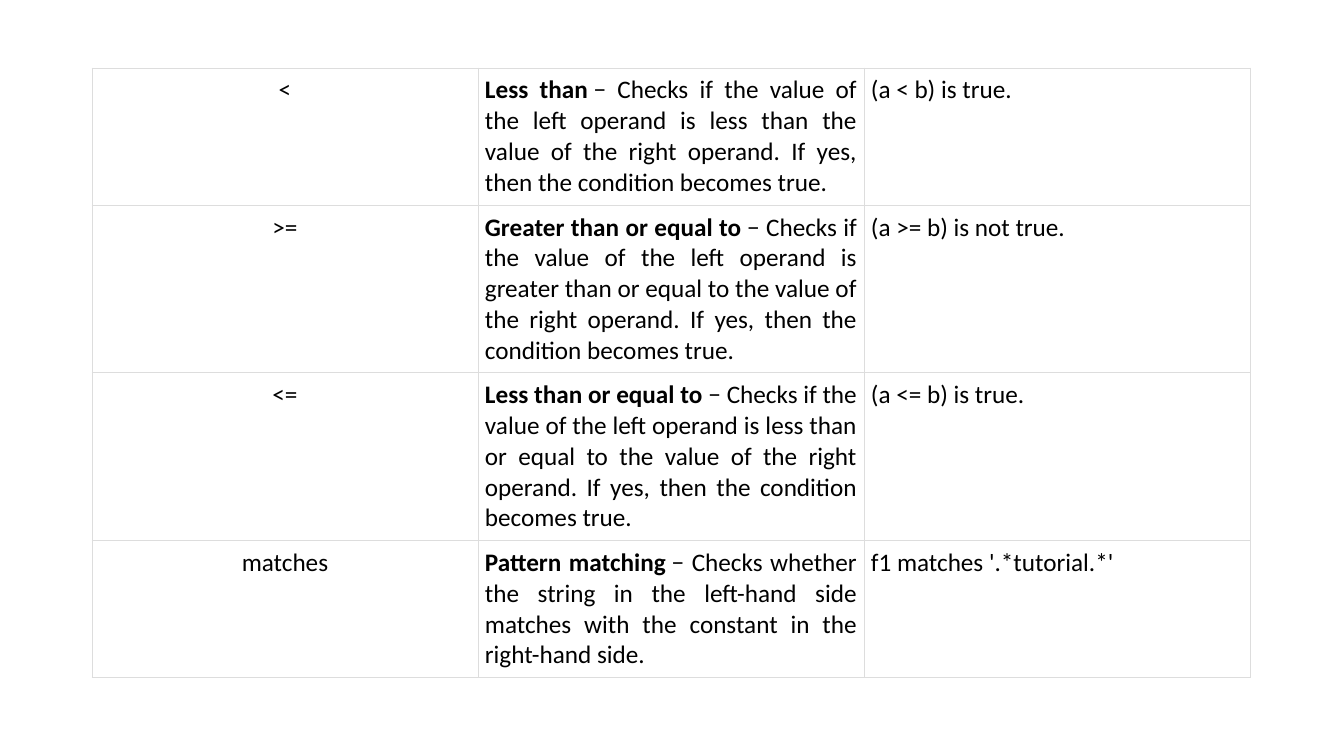
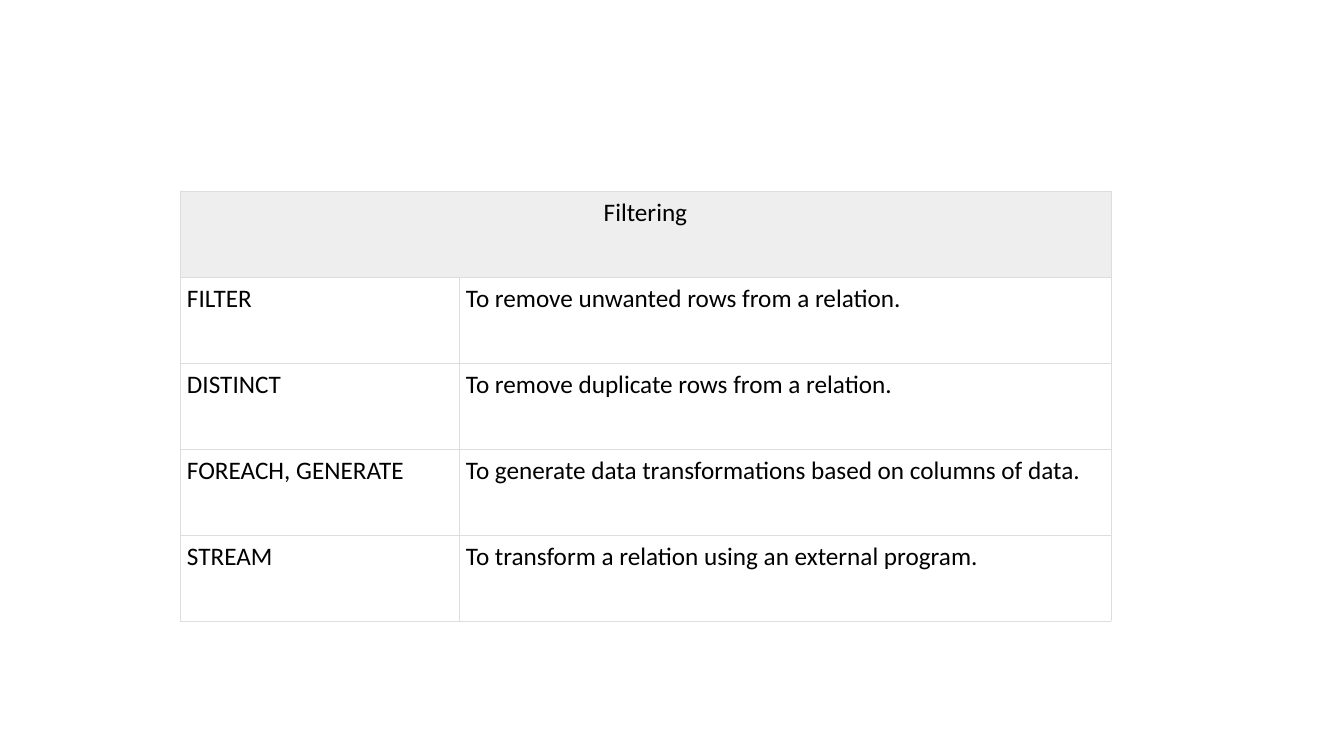
"""Build two slides of operator tables."""
from pptx import Presentation
from pptx.dml.color import RGBColor
from pptx.enum.text import PP_ALIGN
from pptx.oxml.ns import qn
from pptx.util import Emu, Pt
from lxml.etree import SubElement

EMU_PER_PIXEL = 914400 / 100.8
TEXT_COLOUR = RGBColor(0x00, 0x00, 0x00)
RULE_COLOUR = RGBColor(0xDD, 0xDD, 0xDD)
HEADER_FILL = RGBColor(0xEE, 0xEE, 0xEE)
BODY_FILL = RGBColor(0xFF, 0xFF, 0xFF)
RULE_WIDTH = Pt(0.6)
FONT_FORMAT = {"name": "Calibri", "size": Pt(18)}
PLAIN_TABLE = {"first_row": False, "horz_banding": False}

OPERATORS = [
    ("<", "Less than",
     "Checks if the value of the left operand is less than the value of the "
     "right operand. If yes, then the condition becomes true.",
     "(a < b) is true."),
    (">=", "Greater than or equal to",
     "Checks if the value of the left operand is greater than or equal to the "
     "value of the right operand. If yes, then the condition becomes true.",
     "(a >= b) is not true."),
    ("<=", "Less than or equal to",
     "Checks if the value of the left operand is less than or equal to the "
     "value of the right operand. If yes, then the condition becomes true.",
     "(a <= b) is true."),
    ("matches", "Pattern matching",
     "Checks whether the string in the left-hand side matches with the "
     "constant in the right-hand side.",
     "f1 matches '.*tutorial.*'"),
]
FILTERING = [
    ("FILTER", "To remove unwanted rows from a relation."),
    ("DISTINCT", "To remove duplicate rows from a relation."),
    ("FOREACH, GENERATE",
     "To generate data transformations based on columns of data."),
    ("STREAM", "To transform a relation using an external program."),
]


def px(pixels):
    """Turn pixels into EMU."""
    return Emu(round(pixels * EMU_PER_PIXEL))


def apply_format(target, values):
    """Set each named attribute on the target."""
    for name, value in values.items():
        setattr(target, name, value)


def rule_cell(cell):
    """Draw a thin rule on the four sides of a cell."""
    properties = cell._tc.get_or_add_tcPr()
    for side in ("a:lnL", "a:lnR", "a:lnT", "a:lnB"):
        rule = SubElement(properties, qn(side), w=str(RULE_WIDTH))
        fill = SubElement(rule, qn("a:solidFill"))
        SubElement(fill, qn("a:srgbClr"), val=str(RULE_COLOUR))


def style_cell(cell, fill_colour):
    """Give a cell its margins, rules and fill."""
    sides = ("left", "right", "top", "bottom")
    apply_format(cell, {f"margin_{side}": px(7) for side in sides})
    rule_cell(cell)
    cell.fill.solid()
    cell.fill.fore_color.rgb = fill_colour


def write_cell(cell, text, align=PP_ALIGN.LEFT, term=""):
    """Write text into a cell, after an optional bold term."""
    paragraph = cell.text_frame.paragraphs[0]
    paragraph.alignment = align
    for words, bold in ((term, True), (text, False)):
        if words:
            run = paragraph.add_run()
            run.text = words
            apply_format(run.font, {**FONT_FORMAT, "bold": bold})
            run.font.color.rgb = TEXT_COLOUR


def add_ruled_table(deck, left, top, widths, heights):
    """Add a slide with a ruled, empty table and return the table."""
    slide = deck.slides.add_slide(deck.slide_layouts[6])
    table = slide.shapes.add_table(
        len(heights), len(widths), px(left), px(top),
        px(sum(widths)), px(sum(heights))).table
    apply_format(table, PLAIN_TABLE)
    for column, width in zip(table.columns, widths):
        column.width = px(width)
    for row, height in zip(table.rows, heights):
        row.height = px(height)
    for cell in table.iter_cells():
        style_cell(cell, BODY_FILL)
    return table


def add_operator_slide(deck):
    """Add the table of comparison operators."""
    table = add_ruled_table(deck, 92, 68, [386] * 3, [136, 167, 167, 136])
    for row, (operator, term, meaning, example) in enumerate(OPERATORS):
        write_cell(table.cell(row, 0), operator, PP_ALIGN.CENTER)
        write_cell(table.cell(row, 1), f"\u00a0\u2212 {meaning}",
                   PP_ALIGN.JUSTIFY, term)
        write_cell(table.cell(row, 2), example)


def add_filtering_slide(deck):
    """Add the table of filtering statements under its merged heading."""
    table = add_ruled_table(deck, 180, 191, [279, 652], [86] * 5)
    heading = table.cell(0, 0)
    heading.merge(table.cell(0, 1))
    heading.fill.fore_color.rgb = HEADER_FILL
    write_cell(heading, "Filtering", PP_ALIGN.CENTER)
    for row, statement in enumerate(FILTERING, start=1):
        for column, text in enumerate(statement):
            write_cell(table.cell(row, column), text)


def main():
    """Build and save the deck."""
    deck = Presentation()
    apply_format(deck, {"slide_width": px(1344), "slide_height": px(756)})
    add_operator_slide(deck)
    add_filtering_slide(deck)
    deck.save("out.pptx")


main()
